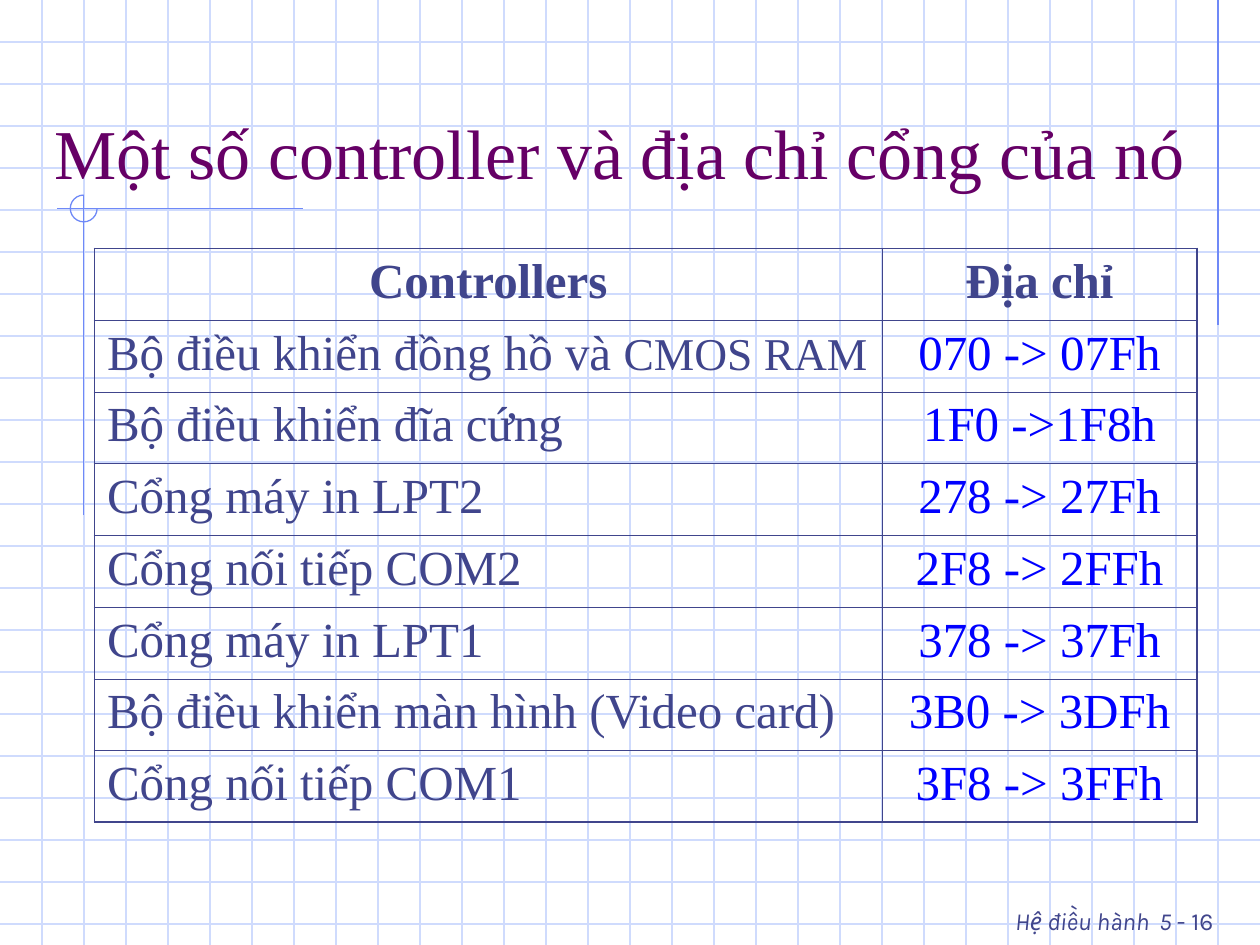
import pptx
import pptx.dml.color
import pptx.enum.shapes
import pptx.enum.text
import pptx.oxml.ns
import pptx.util
from lxml import etree

Pt = pptx.util.Pt
RGBColor = pptx.dml.color.RGBColor
ALIGN = pptx.enum.text.PP_ALIGN
ANCHOR = pptx.enum.text.MSO_ANCHOR
qn = pptx.oxml.ns.qn

GRID = RGBColor(0xCF, 0xDB, 0xFD)
ACCENT = RGBColor(0x6F, 0x89, 0xF7)
INK = RGBColor(0x40, 0x45, 0x8C)
TITLE = RGBColor(0x66, 0x00, 0x66)
BLUE = RGBColor(0x00, 0x00, 0xFF)

WIDTH, HEIGHT, STEP = 720, 540, 24
OUTER, INNER = 1.08, 0.45
SERIF = "Times New Roman"

BODY = {"name": SERIF, "size": Pt(28), "bold": False, "color": INK}
HEADER = {**BODY, "bold": True}
ADDRESS = {**BODY, "color": BLUE}
SMALL = {**BODY, "size": Pt(26)}
HEADING = {"name": SERIF, "size": Pt(40), "color": TITLE}
FOOTER = {"name": "Karla", "size": Pt(14), "italic": True, "color": INK}

ROWS = [
    ([("Bộ điều khiển đồng hồ và ", BODY), ("CMOS RAM", SMALL)], "070 -> 07Fh"),
    ([("Bộ điều khiển đĩa cứng", BODY)], "1F0 ->1F8h"),
    ([("Cổng máy in LPT2", BODY)], "278 -> 27Fh"),
    ([("Cổng nối tiếp COM2", BODY)], "2F8 -> 2FFh"),
    ([("Cổng máy in LPT1", BODY)], "378 -> 37Fh"),
    ([("Bộ điều khiển màn hình (Video card)", BODY)], "3B0 -> 3DFh"),
    ([("Cổng nối tiếp COM1", BODY)], "3F8 -> 3FFh"),
]


class Deck:
    """Holds the style and the current slide."""

    def __init__(self, line_width=0.75, space_before=7):
        self.line_width = Pt(line_width)
        self.space_before = Pt(space_before)
        self.prs = pptx.Presentation()
        self.prs.slide_width, self.prs.slide_height = Pt(WIDTH), Pt(HEIGHT)
        self.s = self.prs.slides.add_slide(self.prs.slide_layouts[6])

    def line(self, x1, y1, x2, y2, color):
        straight = pptx.enum.shapes.MSO_CONNECTOR.STRAIGHT
        sp = self.s.shapes.add_connector(straight, Pt(x1), Pt(y1), Pt(x2), Pt(y2))
        sp.line.color.rgb = color
        sp.line.width = self.line_width
        etree.SubElement(sp._element.spPr, qn("a:effectLst"))

    def arc(self, x, y, size, color):
        """Draw three quarters of a circle, open at the upper right."""
        kind = pptx.enum.shapes.MSO_SHAPE.ARC
        sp = self.s.shapes.add_shape(kind, Pt(x), Pt(y), Pt(size), Pt(size))
        sp.adjustments[0], sp.adjustments[1] = 0, 162
        sp.shadow.inherit = False
        sp.fill.background()
        sp.line.color.rgb = color
        sp.line.width = self.line_width

    def runs(self, p, parts, align):
        p.alignment = align
        for text, style in parts:
            r = p.add_run()
            r.text = text
            for key, value in style.items():
                if key == "color":
                    r.font.color.rgb = value
                else:
                    setattr(r.font, key, value)

    def text(self, x, y, w, h, parts, align=ALIGN.LEFT, anchor=ANCHOR.TOP):
        sp = self.s.shapes.add_textbox(Pt(x), Pt(y), Pt(w), Pt(h))
        tf = sp.text_frame
        tf.word_wrap = True
        tf.vertical_anchor = anchor
        self.runs(tf.paragraphs[0], parts, align)

    def borders(self, cell, widths):
        """Set border widths in points, keyed by side: L, R, T, B."""
        tcPr = cell._tc.get_or_add_tcPr()
        for side, width in widths.items():
            ln = etree.SubElement(tcPr, qn("a:ln" + side), w=str(int(Pt(width))))
            fill = etree.SubElement(ln, qn("a:solidFill"))
            etree.SubElement(fill, qn("a:srgbClr"), val=str(INK))

    def table(self, x, y, col_widths, row_height, rows):
        """Each cell in rows is a pair of text parts and alignment."""
        n_rows, n_cols = len(rows), len(col_widths)
        frame = self.s.shapes.add_table(n_rows, n_cols, Pt(x), Pt(y),
                                        Pt(sum(col_widths)), Pt(row_height * n_rows))
        table = frame.table
        table.first_row = table.horz_banding = False
        for column, width in zip(table.columns, col_widths):
            column.width = Pt(width)
        for i, row in enumerate(rows):
            table.rows[i].height = Pt(row_height)
            for j, (parts, align) in enumerate(row):
                cell = table.cell(i, j)
                edges = {"L": j == 0, "R": j == n_cols - 1,
                         "T": i == 0, "B": i == n_rows - 1}
                self.borders(cell, {side: OUTER if edge else INNER
                                    for side, edge in edges.items()})
                cell.fill.background()
                p = cell.text_frame.paragraphs[0]
                p.space_before = self.space_before
                self.runs(p, parts, align)


def main():
    deck = Deck()
    for y in range(STEP, HEIGHT, STEP):
        deck.line(0, y, WIDTH, y, GRID)
    for x in range(STEP, WIDTH, STEP):
        deck.line(x, 0, x, HEIGHT, GRID)

    deck.line(696, 0, 696, 186, ACCENT)
    deck.line(173, 119.2, 32.5, 119.2, ACCENT)
    deck.line(47.9, 111.5, 47.9, 294.5, ACCENT)
    deck.arc(40.2, 111.5, 15.3, ACCENT)

    deck.text(492, 504, 208.5, 36,
              [("Hệ điều hành", FOOTER),
               (" ", {**FOOTER, "size": Pt(24), "italic": False}),
               ("5 ", FOOTER), ("- 16", {**FOOTER, "italic": False})],
              align=ALIGN.RIGHT)
    deck.text(24, 24, 666, 90, [("Một số controller và địa chỉ cổng của nó", HEADING)],
              anchor=ANCHOR.BOTTOM)

    rows = [[([(name, HEADER)], ALIGN.CENTER) for name in ("Controllers", "Địa chỉ")]]
    rows += [[(parts, ALIGN.LEFT), ([(address, ADDRESS)], ALIGN.CENTER)]
             for parts, address in ROWS]
    deck.table(54, 142, (450, 180), 41, rows)
    deck.prs.save("out.pptx")


if __name__ == "__main__":
    main()
